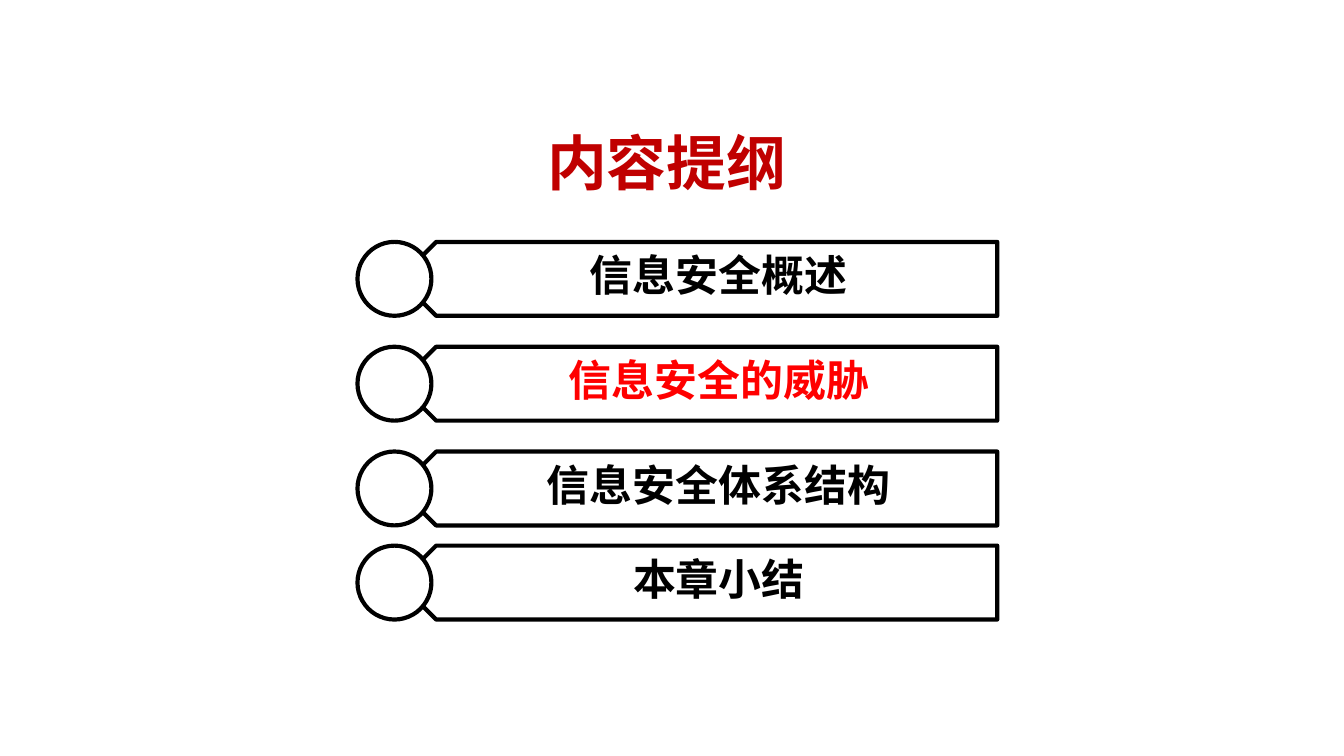
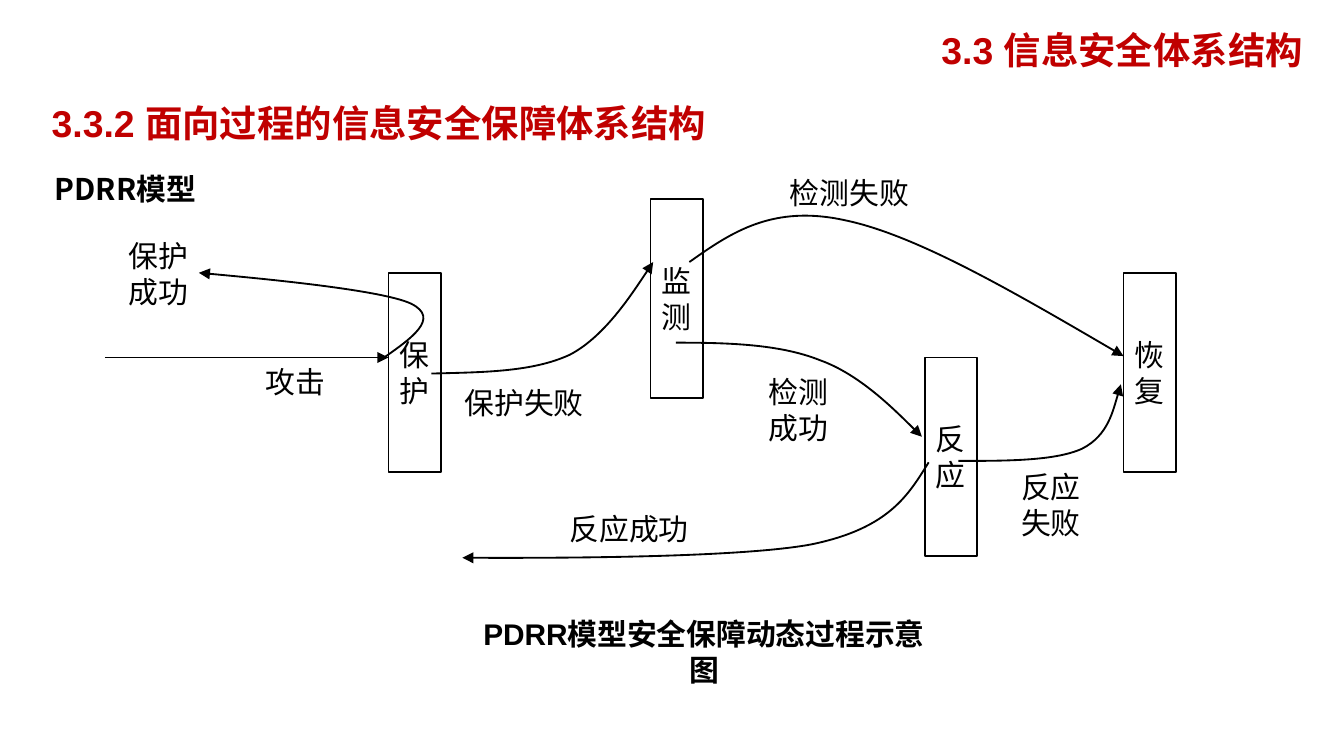
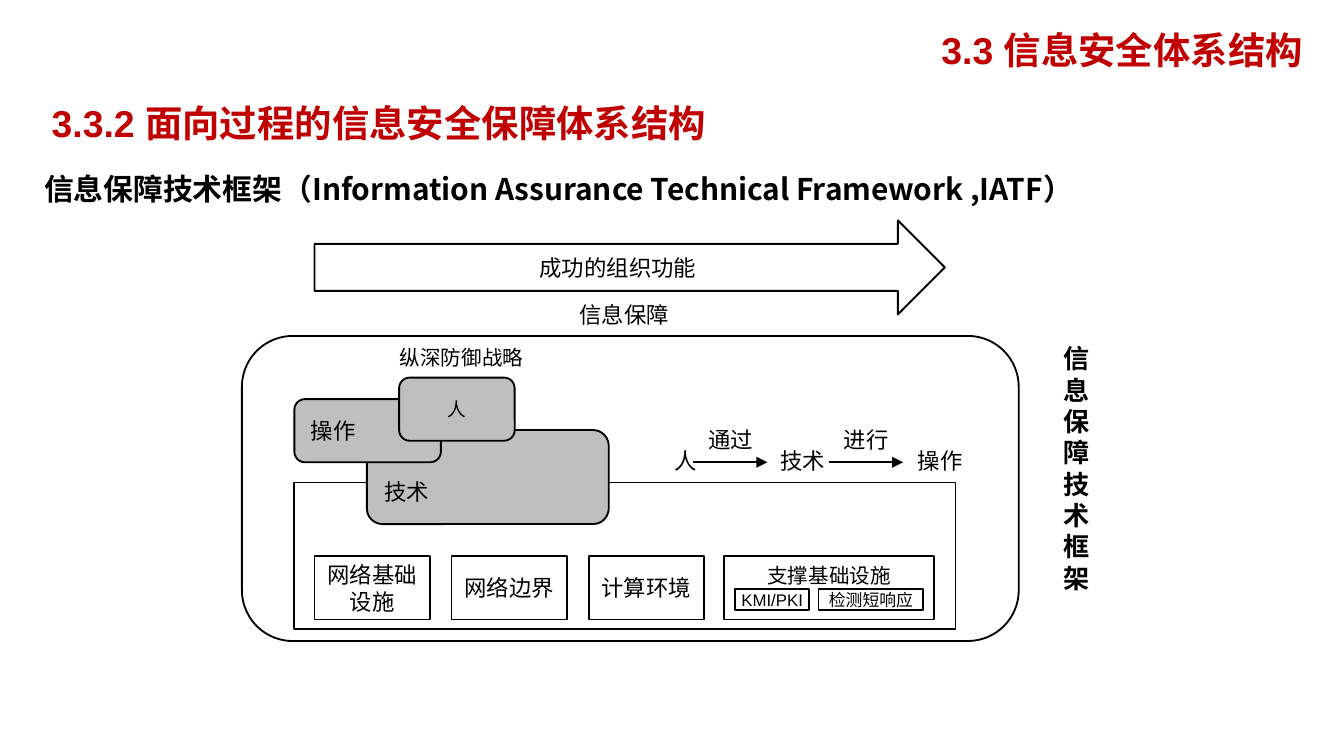
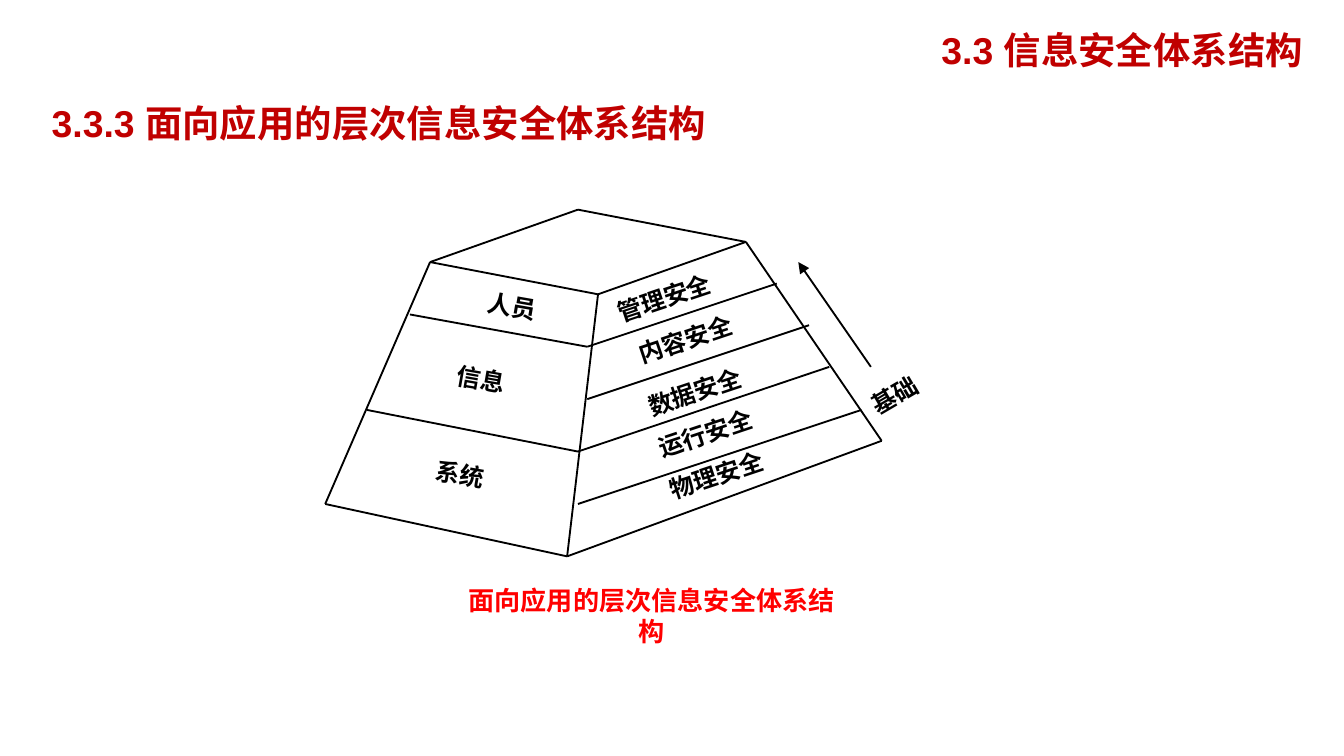
from dataclasses import dataclass

from lxml.etree import SubElement
from pptx import Presentation
from pptx.dml.color import RGBColor
from pptx.enum.shapes import MSO_CONNECTOR, MSO_SHAPE
from pptx.enum.text import MSO_ANCHOR, MSO_AUTO_SIZE, PP_ALIGN
from pptx.oxml.ns import qn
from pptx.util import Inches, Pt

BLACK = RGBColor(0x00, 0x00, 0x00)
WHITE = RGBColor(0xFF, 0xFF, 0xFF)
GRAY = RGBColor(0xBF, 0xBF, 0xBF)
RED = RGBColor(0xFF, 0x00, 0x00)
DARK_RED = RGBColor(0xC0, 0x00, 0x00)
LATIN_FONT = "Arial"
CHINESE_FONT = "Noto Sans CJK SC"
TITLE_ONLY = 5
SLIDE_WIDTH = Inches(10)
SLIDE_HEIGHT = SLIDE_WIDTH * 9 // 16
CENTER, LEFT = PP_ALIGN.CENTER, PP_ALIGN.LEFT
TOP, MIDDLE = MSO_ANCHOR.TOP, MSO_ANCHOR.MIDDLE
SECTION = "3.3 信息安全体系结构"
HEADING = {"size": 20, "bold": True, "color": DARK_RED, "align": CENTER, "wrap": False}


@dataclass
class Box:
    """A rectangle in inches that places other rectangles and points inside itself."""
    left: float
    top: float
    width: float
    height: float

    def inside(self, left, top, width, height):
        """Return a box placed relative to this one."""
        return Box(self.left + left, self.top + top, width, height)

    def point(self, x, y):
        """Return a slide position for a point relative to this box."""
        return Inches(self.left + x), Inches(self.top + y)

    def lengths(self):
        """Return left, top, width and height as lengths."""
        return [Inches(side) for side in (self.left, self.top, self.width, self.height)]


def write(frame, text, size=16, font=LATIN_FONT, color=BLACK, bold=False,
          align=LEFT, anchor=TOP, wrap=True, spacing=None, insets=None):
    """Fill a text frame with one paragraph for each line of text."""
    frame_format = {"auto_size": MSO_AUTO_SIZE.NONE, "word_wrap": wrap,
                    "vertical_anchor": anchor, **(insets or {})}
    for name, value in frame_format.items():
        setattr(frame, name, value)
    for index, line in enumerate(text.split("\n")):
        para = frame.paragraphs[0] if index == 0 else frame.add_paragraph()
        para.alignment = align
        para.line_spacing = spacing
        span = para.add_run()
        span.text = line
        for name, value in {"size": Pt(size), "bold": bold, "name": font}.items():
            setattr(span.font, name, value)
        span.font.color.rgb = color
        SubElement(span.font._element, qn("a:ea"), typeface=CHINESE_FONT)


def add_text(page, box, text, rotation=0, **style):
    """Add a text box."""
    label = page.shapes.add_textbox(*box.lengths())
    label.rotation = rotation
    write(label.text_frame, text, **style)
    return label


def outline(shape, fill=None, width=1):
    """Give a shape a black line, no shadow and an optional fill."""
    shape.shadow.inherit = False
    shape.line.color.rgb = BLACK
    shape.line.width = Pt(width)
    if fill is None:
        shape.fill.background()
    else:
        shape.fill.solid()
        shape.fill.fore_color.rgb = fill


def add_block(page, kind, box, text="", fill=None, width=1, **style):
    """Add an outlined preset shape, with text if there is any."""
    block = page.shapes.add_shape(kind, *box.lengths())
    outline(block, fill, width)
    if text:
        write(block.text_frame, text,
              **{"align": CENTER, "anchor": MIDDLE, "wrap": False, **style})
    return block


def add_arrowhead(shape):
    """Put a triangle at the end of a line."""
    SubElement(shape.element.spPr.get_or_add_ln(), qn("a:tailEnd"), type="triangle")


def add_line(page, box, start, end, arrow=False):
    """Add a straight line between two points of the box."""
    line = page.shapes.add_connector(
        MSO_CONNECTOR.STRAIGHT, *box.point(*start), *box.point(*end))
    line.line.color.rgb = BLACK
    line.line.width = Pt(1)
    if arrow:
        add_arrowhead(line)
    SubElement(line.element.spPr, qn("a:effectLst"))


def add_curve(page, box, points):
    """Add a curved arrow from a start point and groups of three Bezier points."""
    start, *rest = [box.point(*point) for point in points]
    builder = page.shapes.build_freeform(*start)
    builder.add_line_segments(rest, close=False)
    curve = builder.convert_to_shape()
    outline(curve)
    add_arrowhead(curve)
    outline_path = next(curve.element.iter(qn("a:path")))
    segments = outline_path.findall(qn("a:lnTo"))
    for first in range(0, len(segments), 3):
        bezier = SubElement(outline_path, qn("a:cubicBezTo"))
        for segment in segments[first:first + 3]:
            bezier.append(segment[0])
            outline_path.remove(segment)


def add_page(deck, box, title, **style):
    """Add a slide and place its title."""
    page = deck.slides.add_slide(deck.slide_layouts[TITLE_ONLY])
    holder = page.shapes.title
    for name, value in zip(("left", "top", "width", "height"), box.lengths()):
        setattr(holder, name, value)
    write(holder.text_frame, title, **style)
    return page


def add_section_page(deck, heading, topic=None, topic_box=None):
    """Add a slide of section 3.3 with its heading and optional topic line."""
    page = add_page(deck, Box(6.87, 0.15, 2.96, 0.44), SECTION, **HEADING)
    add_text(page, Box(0.23, 0.7, 5.18, 0.44), heading, **HEADING)
    if topic:
        label = add_text(page, topic_box, topic, font=CHINESE_FONT, bold=True, spacing=1.5)
        properties = label.text_frame.paragraphs[0]._p.get_or_add_pPr()
        properties.set("marL", str(Inches(0.38)))
        properties.set("indent", str(Inches(-0.38)))
    return page


def draw_agenda(page, box):
    """Draw the chapter list with the current chapter in red."""
    rows = [(0, "信息安全概述", BLACK), (0.78, "信息安全的威胁", RED),
            (1.56, "信息安全体系结构", BLACK), (2.26, "本章小结", BLACK)]
    for top, chapter, color in rows:
        plate = add_block(page, MSO_SHAPE.PENTAGON, box.inside(0.31, top, 4.45, 0.55),
                          fill=WHITE, width=2.25)
        plate.rotation = 180
        add_block(page, MSO_SHAPE.OVAL, box.inside(0, top, 0.55, 0.55),
                  fill=WHITE, width=2.25)
        add_text(page, box.inside(0.62, top, 4.14, 0.48), chapter, size=23,
                 font=CHINESE_FONT, color=color, bold=True, align=CENTER)


def draw_process(page, box):
    """Draw the PDRR stages, the arrows between them and their labels."""
    stages = [("保\n护", 2.19, 0.83), ("恢\n复", 7.66, 0.83),
              ("监\n测", 4.14, 0.28), ("反\n应", 6.18, 1.46)]
    for stage, left, top in stages:
        add_block(page, MSO_SHAPE.RECTANGLE, box.inside(left, top, 0.39, 1.48), stage)
    add_line(page, box, (0.08, 1.46), (2.19, 1.46), arrow=True)
    curves = [
        [(2.13, 1.48), (2.36, 1.32), (2.58, 1.17), (2.36, 1.06),
         (2.13, 0.95), (0.78, 0.83), (0.78, 0.83)],
        [(2.51, 1.58), (2.89, 1.57), (3.26, 1.57), (3.54, 1.44),
         (3.81, 1.3), (4.16, 0.75), (4.16, 0.75)],
        [(4.43, 0.75), (4.74, 0.53), (5.05, 0.32), (5.59, 0.44),
         (6.12, 0.55), (6.89, 1), (7.66, 1.45)],
        [(4.33, 1.35), (4.71, 1.35), (5.1, 1.36), (5.4, 1.48),
         (5.71, 1.59), (6.16, 2.05), (6.16, 2.05)],
        [(6.43, 2.23), (6.79, 2.23), (7.15, 2.23), (7.35, 2.14),
         (7.55, 2.04), (7.64, 1.66), (7.64, 1.66)],
        [(6.21, 2.24), (6.06, 2.48), (5.92, 2.73), (5.34, 2.85),
         (4.76, 2.96), (2.74, 2.95), (2.74, 2.95)],
    ]
    for points in curves:
        add_curve(page, box, points)
    labels = [("保护\n成功", 0.16, 0.52, 0.7, 0.64), ("攻击", 1.18, 1.46, 0.7, 0.37),
              ("保护失败", 2.66, 1.61, 1.1, 0.37), ("检测失败", 5.08, 0.05, 1.1, 0.37),
              ("检测成功", 4.92, 1.53, 0.7, 0.64), ("反应成功", 3.44, 2.55, 1.1, 0.37),
              ("反应失败", 6.8, 2.24, 0.7, 0.64)]
    for label, *place in labels:
        add_text(page, box.inside(*place), label)
    add_text(page, box.inside(2.69, 3.33, 3.7, 0.37), "PDRR模型安全保障动态过程示意图",
             bold=True, align=CENTER)


def draw_framework(page, box):
    """Draw the IATF framework with its layers, elements and goal."""
    for index, area in enumerate(["网络基础\n设施", "网络边界", "计算环境"]):
        add_block(page, MSO_SHAPE.RECTANGLE,
                  box.inside(0.54 + 1.02 * index, 2.54, 0.86, 0.47), area, size=12)
    add_block(page, MSO_SHAPE.RECTANGLE, box.inside(3.59, 2.54, 1.56, 0.47),
              "支撑基础设施", size=11, insets={"margin_bottom": Inches(0.24)})
    for service, left, width in [("KMI/PKI", 3.67, 0.55), ("检测短响应", 4.29, 0.78)]:
        add_block(page, MSO_SHAPE.RECTANGLE, box.inside(left, 2.78, width, 0.16),
                  service, size=9)
    add_block(page, MSO_SHAPE.RECTANGLE, box.inside(0.39, 1.99, 4.92, 1.09))
    add_block(page, MSO_SHAPE.ROUNDED_RECTANGLE, box.inside(0, 0.9, 5.78, 2.27))

    elements = [
        ("技术", (0.93, 1.6, 1.8, 0.7),
         {"size": 12, "align": LEFT, "insets": {"margin_top": Inches(0.27)}}),
        ("操作", (0.39, 1.37, 1.09, 0.47), {"size": 12, "align": LEFT}),
        ("人", (1.17, 1.21, 0.86, 0.47), {"size": 10}),
    ]
    for element, place, style in elements:
        add_block(page, MSO_SHAPE.ROUNDED_RECTANGLE, box.inside(*place), element,
                  fill=GRAY, **style)
    add_text(page, box.inside(1.01, 0.9, 1.25, 0.31), "纵深防御战略", size=11,
             align=CENTER, anchor=MIDDLE, wrap=False)

    for left in (3.36, 4.37):
        add_line(page, box, (left, 1.84), (left + 0.55, 1.84), arrow=True)
    labels = [("人", 3.12, 1.68, 0.23), ("通过", 3.36, 1.52, 0.55),
              ("技术", 3.9, 1.68, 0.55), ("进行", 4.37, 1.52, 0.55),
              ("操作", 4.92, 1.68, 0.55), ("信息保障", 2.18, 0.59, 1.33)]
    for label, left, top, width in labels:
        add_text(page, box.inside(left, top, width, 0.3), label, size=12, align=CENTER)
    add_block(page, MSO_SHAPE.RIGHT_ARROW, box.inside(0.54, 0.04, 4.69, 0.7),
              "成功的组织功能", size=12)
    add_text(page, box.inside(6.01, 0.9, 0.4, 1.99), "\n".join("信息保障技术框架"),
             size=14, bold=True, align=CENTER, wrap=False)


def draw_pyramid(page, box):
    """Draw the layered pyramid with its labels and caption."""
    top_left, top_back, top_right, top_front = (0.8, 0.45), (1.9, 0.06), (3.15, 0.3), (2.05, 0.69)
    foot_left, foot_front, foot_right = (0.02, 2.25), (1.82, 2.64), (4.16, 1.78)
    edges = [
        (top_left, top_back), (top_back, top_right), (top_left, top_front),
        (top_front, top_right), (foot_left, top_left), (foot_front, top_front),
        (foot_right, top_right), (foot_left, foot_front), (foot_front, foot_right),
    ]
    layers = [
        ((1.97, 1.08), (3.38, 0.61)), ((1.97, 1.47), (3.62, 0.92)),
        ((1.9, 1.86), (3.77, 1.23)), ((1.9, 2.25), (4.01, 1.55)),
        ((0.65, 0.84), (1.97, 1.08)), ((0.33, 1.55), (1.9, 1.86)),
    ]
    for start, end in edges + layers:
        add_line(page, box, start, end)
    add_line(page, box, (4.08, 1.23), (3.54, 0.45), arrow=True)

    right_face = [("管理安全", 2.08, 0.54), ("内容安全", 2.24, 0.85), ("数据安全", 2.31, 1.24),
                  ("运行安全", 2.39, 1.55), ("物理安全", 2.47, 1.86)]
    left_face = [("人员", 0.9, 0.62), ("信息", 0.67, 1.16), ("系统", 0.51, 1.87)]
    base = [("基础", 3.97, 1.28)]
    groups = [(right_face, 1.02, 341.5, LEFT), (left_face, 1.02, 10, CENTER),
              (base, 0.57, 329.6, CENTER)]
    for labels, width, rotation, align in groups:
        for label, left, top in labels:
            add_text(page, box.inside(left, top, width, 0.32), label, rotation=rotation,
                     size=13, font=CHINESE_FONT, bold=True, align=align)
    add_text(page, box.inside(0.9, 2.8, 3.1, 0.33), "面向应用的层次信息安全体系结构",
             size=14, color=RED, bold=True, align=CENTER)


def main():
    """Build the four slides and save them."""
    deck = Presentation()
    deck.slide_width, deck.slide_height = SLIDE_WIDTH, SLIDE_HEIGHT

    page = add_page(deck, Box(1.64, 0.86, 6.64, 0.69), "内容提纲", size=32,
                    color=DARK_RED, bold=True, align=CENTER, anchor=MIDDLE)
    draw_agenda(page, Box(2.66, 1.8, 4.76, 2.81))

    process_heading = "3.3.2 面向过程的信息安全保障体系结构"
    page = add_section_page(deck, process_heading, "PDRR模型", Box(0.31, 1.09, 1.88, 0.47))
    draw_process(page, Box(0.7, 1.2, 8.05, 3.7))

    page = add_section_page(
        deck, process_heading,
        "信息保障技术框架（Information Assurance Technical Framework ,IATF）",
        Box(0.23, 1.09, 8.05, 0.47))
    draw_framework(page, Box(1.8, 1.6, 6.41, 3.17))

    page = add_section_page(deck, "3.3.3 面向应用的层次信息安全体系结构")
    draw_pyramid(page, Box(2.4, 1.5, 4.54, 3.13))

    deck.save("out.pptx")


if __name__ == "__main__":
    main()
